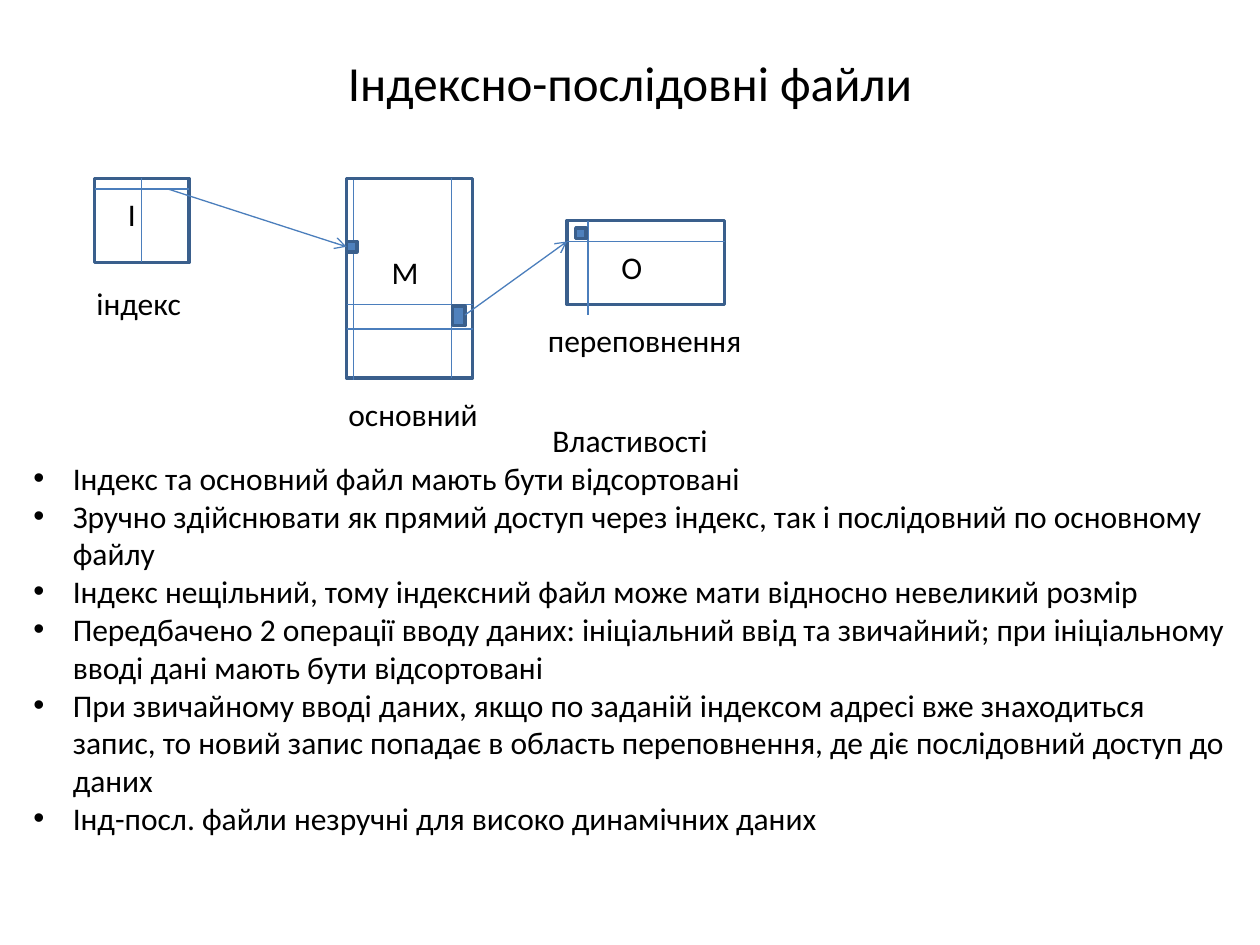
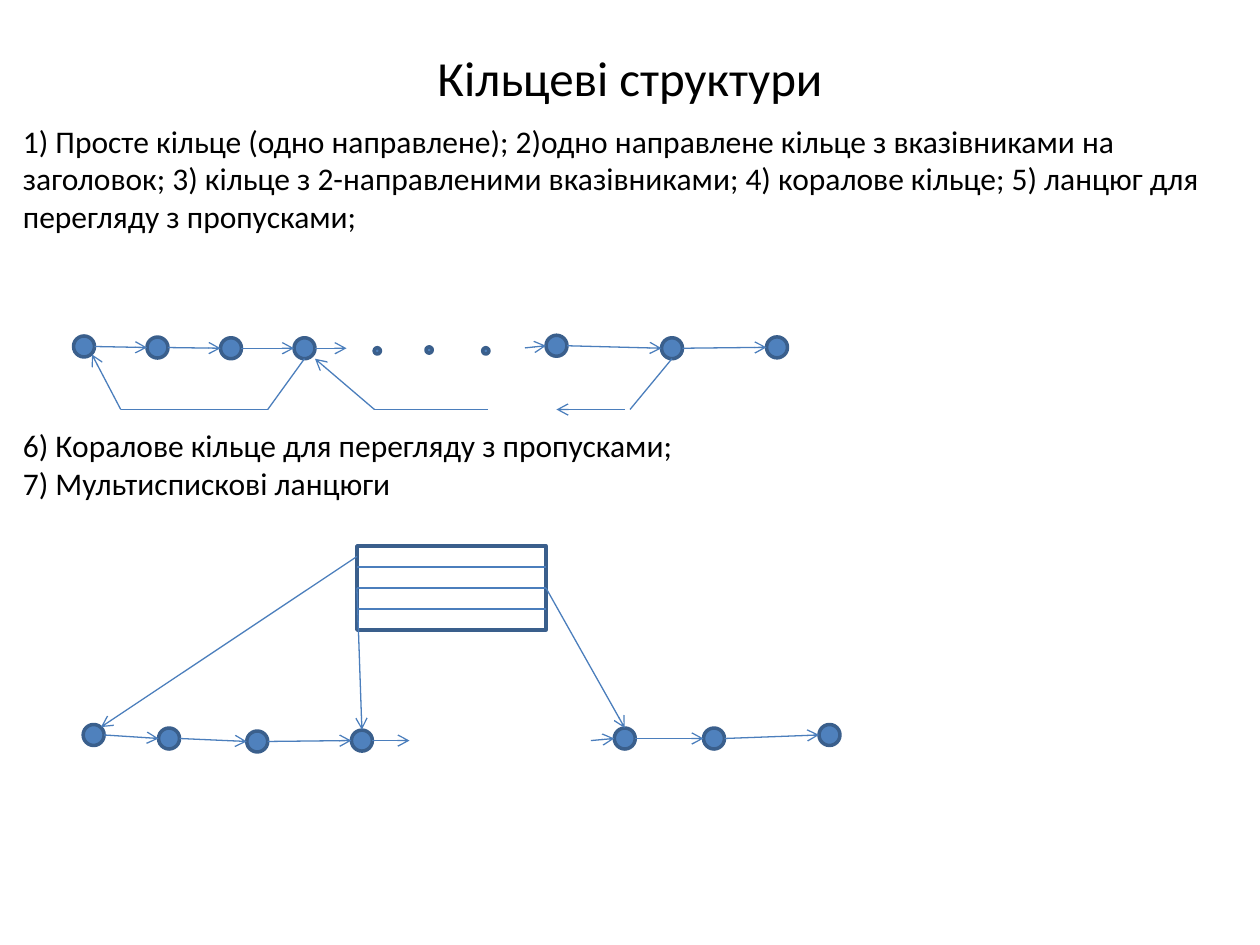
"""Builds two slides on index-sequential files and ring structures."""
from itertools import pairwise

from lxml.etree import SubElement
from pptx import Presentation
from pptx.dml.color import RGBColor
from pptx.enum.shapes import MSO_CONNECTOR, MSO_SHAPE
from pptx.enum.text import MSO_ANCHOR, PP_ALIGN
from pptx.oxml.ns import qn
from pptx.util import Pt

BLACK = RGBColor(0x00, 0x00, 0x00)
BLUE = RGBColor(0x4F, 0x81, 0xBD)
OUTLINE = RGBColor(0x3A, 0x5F, 0x8C)
LINK = RGBColor(0x4B, 0x7E, 0xBC)
BODY_FONT = {"name": "Calibri", "size": Pt(18)}
TITLE_FONT = {"name": "Calibri", "size": Pt(28)}
BULLET_INDENT = 22.5
NODE = 12
DOT = 3.6

PROPERTIES = [
    "Індекс та основний файл мають бути відсортовані",
    "Зручно здійснювати як прямий доступ через індекс, так і послідовний по основному файлу",
    "Індекс нещільний, тому індексний файл може мати відносно невеликий розмір",
    "Передбачено 2 операції вводу даних: ініціальний ввід та звичайний; при ініціальному вводі "
    "дані мають бути відсортовані",
    "При звичайному вводі даних, якщо по заданій індексом адресі вже знаходиться запис, то новий "
    "запис попадає в область переповнення, де діє послідовний доступ до даних",
    "Інд-посл. файли незручні для високо динамічних даних",
]
RING_KINDS = (
    "1) Просте кільце (одно направлене); 2)одно направлене кільце з вказівниками на заголовок; "
    "3) кільце з 2-направленими вказівниками; 4) коралове кільце; 5) ланцюг для перегляду з пропусками;"
)
MORE_KINDS = ["6) Коралове кільце для перегляду з пропусками;", "7) Мультиспискові ланцюги"]


def add_text(slide, box, lines, font=BODY_FONT, align=PP_ALIGN.LEFT, anchor=MSO_ANCHOR.TOP):
    """Adds a wrapped text box with one paragraph per line and returns its paragraphs."""
    frame = slide.shapes.add_textbox(*map(Pt, box)).text_frame
    frame.word_wrap = True
    frame.vertical_anchor = anchor
    frame.text = "\n".join(lines)
    for paragraph in frame.paragraphs:
        paragraph.alignment = align
        for name, value in font.items():
            setattr(paragraph.font, name, value)
        paragraph.font.color.rgb = BLACK
    return frame.paragraphs


def add_title(slide, text, height):
    """Adds the centred slide title."""
    add_text(slide, (36, 21.6, 648, height), [text], TITLE_FONT, PP_ALIGN.CENTER, MSO_ANCHOR.MIDDLE)


def add_bullet(paragraph):
    """Gives a paragraph a round bullet with a hanging indent."""
    properties = paragraph._p.get_or_add_pPr()
    properties.set("marL", str(Pt(BULLET_INDENT)))
    properties.set("indent", str(-Pt(BULLET_INDENT)))
    SubElement(properties, qn("a:buFont"), typeface="Arial")
    SubElement(properties, qn("a:buChar"), char="•")


def add_figure(slide, kind, box, fill=None):
    """Adds an outlined preset shape, hollow unless a fill is given."""
    shape = slide.shapes.add_shape(kind, *map(Pt, box))
    shape.shadow.inherit = False
    shape.line.color.rgb = OUTLINE
    shape.line.width = Pt(2)
    if fill is None:
        shape.fill.background()
    else:
        shape.fill.solid()
        shape.fill.fore_color.rgb = fill


def add_circle(slide, centre, diameter):
    """Adds a filled circle around a centre."""
    x, y = centre
    box = (x - diameter / 2, y - diameter / 2, diameter, diameter)
    add_figure(slide, MSO_SHAPE.OVAL, box, BLUE)


def add_line(slide, start, end, arrow=False):
    """Adds a thin straight line, with an arrowhead at its end if wanted."""
    connector = slide.shapes.add_connector(MSO_CONNECTOR.STRAIGHT, *map(Pt, (*start, *end)))
    connector.line.color.rgb = LINK
    connector.line.width = Pt(0.75)
    if arrow:
        SubElement(connector.line._get_or_add_ln(), qn("a:tailEnd"), type="arrow")
    SubElement(connector._element.spPr, qn("a:effectLst"))


def add_polyline(slide, points, arrow=False):
    """Joins points with lines, with an arrowhead on the last one if wanted."""
    for start, end in pairwise(points):
        add_line(slide, start, end, arrow and end == points[-1])


def add_chain(slide, nodes, entry=None, leave=None):
    """Adds nodes linked left to right, with optional loose arrows in and out."""
    radius = NODE / 2
    for node in nodes:
        add_circle(slide, node, NODE)
    for (x, y), (next_x, next_y) in pairwise(nodes):
        add_line(slide, (x + radius, y), (next_x - radius, next_y), True)
    if entry:
        x, y = nodes[0]
        add_line(slide, entry, (x - radius, y), True)
    if leave:
        x, y = nodes[-1]
        add_line(slide, (x + radius, y), leave, True)


def build_index_slide(slide):
    """Draws the index, main and overflow files and lists their properties."""
    add_title(slide, "Індексно-послідовні файли", 50.4)
    for file_box in [(54, 102, 54, 48), (198, 102, 72, 114), (324, 126, 90, 48)]:
        add_figure(slide, MSO_SHAPE.RECTANGLE, file_box)
    labels = {
        "І": (66, 108, 30, 30),
        "М": (216.7, 141, 48, 30),
        "О": (348, 138, 42, 29),
        "індекс": (48, 159, 72, 29),
        "основний": (192, 222, 90, 29),
        "переповнення": (306, 180, 126, 29),
    }
    for text, box in labels.items():
        add_text(slide, box, [text])
    heading, *items = add_text(slide, (12, 237, 696, 247), ["Властивості", *PROPERTIES])
    heading.alignment = PP_ALIGN.CENTER
    for paragraph in items:
        add_bullet(paragraph)

    for x, top, bottom in [(81, 102, 150), (202, 103, 217), (258, 102, 216), (336, 126, 180)]:
        add_line(slide, (x, top), (x, bottom))
    for y, left, right in [(108, 54, 108), (174, 198, 270), (188, 198, 270), (138, 324, 414)]:
        add_line(slide, (left, y), (right, y))
    for record_box in [(198, 138, 6, 6), (258.5, 175, 7.2, 11), (329, 130.3, 6, 6)]:
        add_figure(slide, MSO_SHAPE.RECTANGLE, record_box, BLUE)
    add_line(slide, (96, 108), (198, 141), True)
    add_line(slide, (265.7, 180), (324, 138), True)


def build_ring_slide(slide):
    """Draws a chain with skips and a multilist."""
    add_title(slide, "Кільцеві структури", 44.6)
    add_text(slide, (6, 66, 702, 73), [RING_KINDS])
    add_text(slide, (6, 240, 702, 51), MORE_KINDS)

    add_chain(slide, [(48, 198), (90, 198.6), (132, 199), (174, 199)], leave=(198, 199))
    add_chain(slide, [(318, 197.6), (384, 199), (444, 198.5)], entry=(300, 198.8))
    for centre in [(215.6, 200.5), (245.2, 200), (277.6, 200.5)]:
        add_circle(slide, centre, DOT)
    add_polyline(slide, [(174, 205), (153, 234), (69, 234), (52.5, 202.5)], True)
    add_polyline(slide, [(279, 234), (214, 234), (180, 205)], True)
    add_line(slide, (384, 205), (360, 234))
    add_line(slide, (357, 234), (318, 234), True)

    left, top, width, height = 204, 312, 108, 48
    right = left + width
    add_figure(slide, MSO_SHAPE.RECTANGLE, (left, top, width, height))
    for row in range(1, 4):
        y = top + row * height / 4
        add_line(slide, (left, y), (right, y))
    add_chain(slide, [(53.5, 420), (96.6, 422), (147, 423.7), (206.8, 423.2)], leave=(234, 423.2))
    add_chain(slide, [(357, 422), (408, 422), (474, 420)], entry=(337.7, 423.2))
    for start, end in [((left, 318), (57.7, 415.5)), ((left, 336), (206.8, 417)), ((right, 336), (357, 416))]:
        add_line(slide, start, end, True)


def main():
    """Builds and saves the presentation."""
    presentation = Presentation()
    presentation.slide_width = Pt(720)
    presentation.slide_height = Pt(540)
    blank = presentation.slide_layouts[6]
    for build in (build_index_slide, build_ring_slide):
        build(presentation.slides.add_slide(blank))
    presentation.save("out.pptx")


if __name__ == "__main__":
    main()
